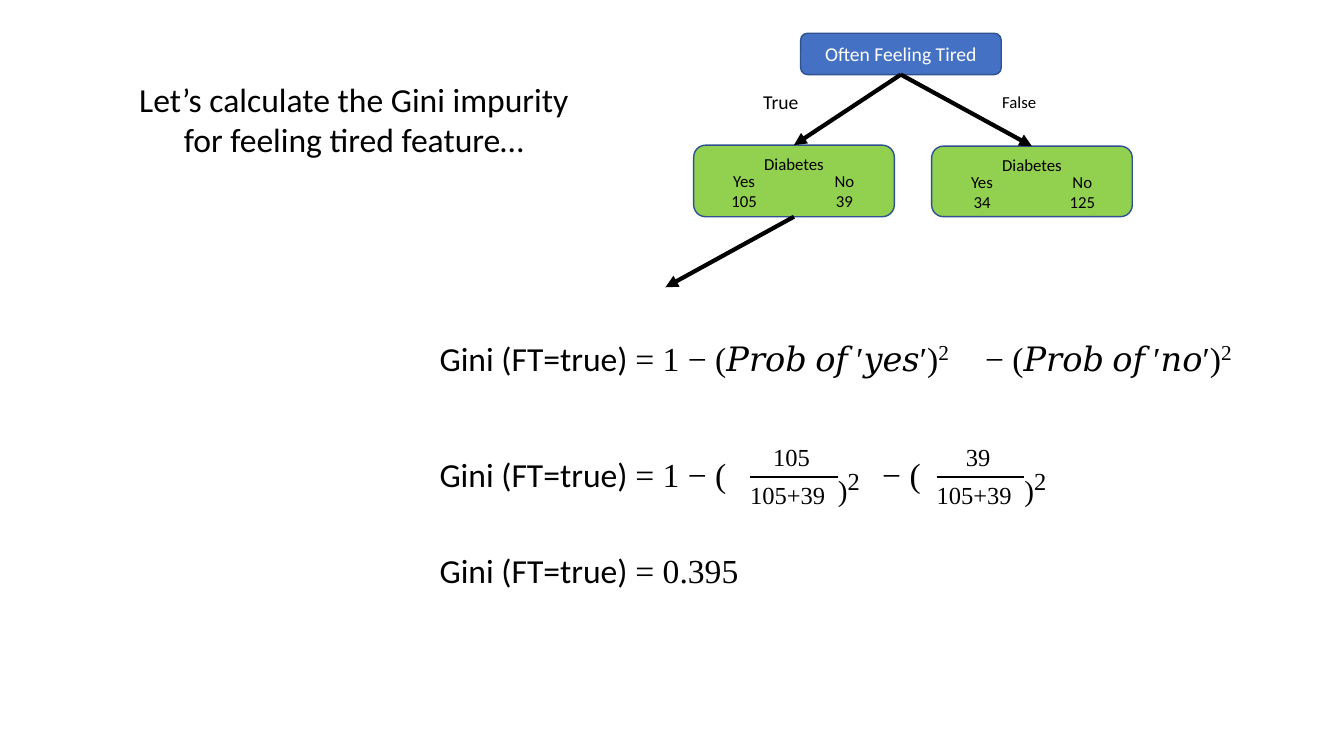
"""Build a slide that computes the Gini impurity of one decision-tree split."""
from lxml import etree
from pptx import Presentation
from pptx.dml.color import RGBColor
from pptx.enum.shapes import MSO_CONNECTOR as Connector, MSO_SHAPE as Shape
from pptx.enum.text import MSO_ANCHOR as Anchor, PP_ALIGN as Align
from pptx.oxml.ns import qn
from pptx.util import Inches, Pt

SANS, SERIF = "Calibri", "Times New Roman"
BLACK, WHITE, BLUE, GREEN, OUTLINE = "000000", "FFFFFF", "4471C4", "92D050", "2E528F"

TITLE = ["Let’s calculate the Gini ", "impurity ", "for feeling tired ", "feature…"]
ROOT = "Often Feeling Tired"
LEAF_HEADING = "Diabetes"
LEAVES = [
    (6.88, 1.44, 0.71, [("Yes", "105"), ("No", "39")]),
    (9.24, 1.45, 0.70, [("Yes", "34"), ("No", "125")]),
]
BRANCH_LABELS = [("True", 7.57, 0.89, 14), ("False", 9.94, 0.91, 12)]
GINI = ("Gini (FT=true) ", 24, SANS, 0)
GENERAL_FORMULA = [
    GINI,
    ("= 1 − (𝑃𝑟𝑜𝑏 𝑜𝑓 ", 24, SERIF, 0),
    ("′𝑦𝑒𝑠′)", 24, SERIF, 0),
    ("2\t", 26.2, SERIF, 29),
    ("− (𝑃𝑟𝑜𝑏 𝑜𝑓 ", 24, SERIF, 0),
    ("′𝑛𝑜′)", 24, SERIF, 0),
    ("2", 26.2, SERIF, 29),
]
FORMULA_TAB = 5.41
FORMULA_LEFT = 4.36
FORMULA_PARTS = [
    (FORMULA_LEFT, 3.32, 7.98, GENERAL_FORMULA),
    (FORMULA_LEFT, 4.5, 3.03, [GINI, ("= 1 − (", 24, SERIF, 0)]),
    (8.75, 4.5, 0.49, [("− (", 24, SERIF, 0)]),
    (FORMULA_LEFT, 5.46, 3.12, [GINI, ("= 0.395", 24, SERIF, 0)]),
]
FRACTIONS = [(7.44, "105"), (9.29, "39")]
DENOMINATOR = "105+39"
SQUARED = [(")", 36, SERIF, -21), ("2", 17.5, SERIF, 0)]
BOX_WIDTH, BAR_WIDTH, BAR_TOP = 1.99, 0.87, 4.73


def color(value):
    return RGBColor.from_string(value)


def add_run(paragraph, text, size, font=SANS, baseline=0, ink=BLACK):
    run = paragraph.add_run()
    run.text = text
    run.font.size, run.font.name = Pt(size), font
    run.font.color.rgb = color(ink)
    if baseline:
        run.font._element.set("baseline", str(baseline * 1000))


def clear_margins(frame, top=0):
    frame.margin_left = frame.margin_right = frame.margin_bottom = 0
    frame.margin_top = Inches(top)


def add_text(slide, left, top, width, height, lines, align=Align.LEFT):
    frame = slide.shapes.add_textbox(
        Inches(left), Inches(top), Inches(width), Inches(height)).text_frame
    clear_margins(frame)
    frame.word_wrap = False
    for number, runs in enumerate(lines):
        paragraph = frame.add_paragraph() if number else frame.paragraphs[0]
        paragraph.alignment = align
        if any("\t" in run[0] for run in runs):
            tabs = etree.SubElement(paragraph._p.get_or_add_pPr(), qn("a:tabLst"))
            etree.SubElement(tabs, qn("a:tab"), pos=str(Inches(FORMULA_TAB)), algn="l")
        for run in runs:
            add_run(paragraph, *run)


def add_node(slide, left, top, height, fill, text, size, ink, anchor):
    shape = slide.shapes.add_shape(
        Shape.ROUNDED_RECTANGLE, Inches(left), Inches(top), Inches(BOX_WIDTH), Inches(height))
    shape.shadow.inherit = False
    shape.fill.solid()
    shape.fill.fore_color.rgb = color(fill)
    shape.line.color.rgb = color(OUTLINE)
    shape.line.width = Pt(1)
    frame = shape.text_frame
    clear_margins(frame, 0.05 if anchor == Anchor.TOP else 0)
    frame.vertical_anchor = anchor
    paragraph = frame.paragraphs[0]
    paragraph.alignment = Align.CENTER
    add_run(paragraph, text, size, ink=ink)
    return shape


def add_line(slide, start, end, width, arrow=False):
    points = [Inches(value) for value in (*start, *end)]
    line = slide.shapes.add_connector(Connector.STRAIGHT, *points)
    line.line.color.rgb = color(BLACK)
    line.line.width = Pt(width)
    if arrow:
        etree.SubElement(line.line._get_or_add_ln(), qn("a:tailEnd"), type="triangle")
    etree.SubElement(line._element.spPr, qn("a:effectLst"))
    return line


def add_title(slide):
    title = slide.shapes.title
    title.left, title.top, title.width, title.height = map(Inches, (1.36, 0.78, 4.3, 0.83))
    frame = title.text_frame
    clear_margins(frame)
    frame.word_wrap = True
    frame.vertical_anchor = Anchor.TOP
    paragraph = frame.paragraphs[0]
    paragraph.alignment = Align.CENTER
    paragraph.line_spacing = 1.0
    for text in TITLE:
        add_run(paragraph, text, 24)


def add_tree(slide):
    root = add_node(slide, 7.94, 0.33, 0.41, BLUE, ROOT, 14, WHITE, Anchor.MIDDLE)
    nodes = []
    for left, top, height, columns in LEAVES:
        leaf = add_node(slide, left, top, height, GREEN, LEAF_HEADING, 12, BLACK, Anchor.TOP)
        nodes.append(leaf)
        for number, column in enumerate(columns):
            add_text(slide, left + 0.3 + number * BOX_WIDTH / 2, top + 0.25, 0.4, 0.42,
                     [[(text, 12)] for text in column], Align.CENTER)
    for leaf in nodes:
        branch = add_line(slide, (0, 0), (1, 1), 3, arrow=True)
        branch.begin_connect(root, 2)
        branch.end_connect(leaf, 0)
    pointer = add_line(slide, (7.88, 2.15), (6.6, 2.85), 3, arrow=True)
    pointer.begin_connect(nodes[0], 2)
    for text, left, top, size in BRANCH_LABELS:
        add_text(slide, left, top, 0.4, 0.25, [[(text, size)]])


def add_formulas(slide):
    for left, top, width, runs in FORMULA_PARTS:
        add_text(slide, left, top, width, 0.43, [runs])
    for left, numerator in FRACTIONS:
        add_line(slide, (left, BAR_TOP), (left + BAR_WIDTH, BAR_TOP), 1.5)
        add_text(slide, left, 4.39, 0.82, 0.3, [[(numerator, 17.5, SERIF)]], Align.CENTER)
        add_text(slide, left, 4.76, 0.75, 0.3, [[(DENOMINATOR, 17.5, SERIF)]])
        add_text(slide, left + BAR_WIDTH, 4.37, 0.33, 0.43, [SQUARED])


def main():
    presentation = Presentation()
    presentation.slide_width, presentation.slide_height = Inches(13.33), Inches(7.5)
    slide = presentation.slides.add_slide(presentation.slide_layouts[5])
    add_title(slide)
    add_tree(slide)
    add_formulas(slide)
    presentation.save("out.pptx")


if __name__ == "__main__":
    main()
